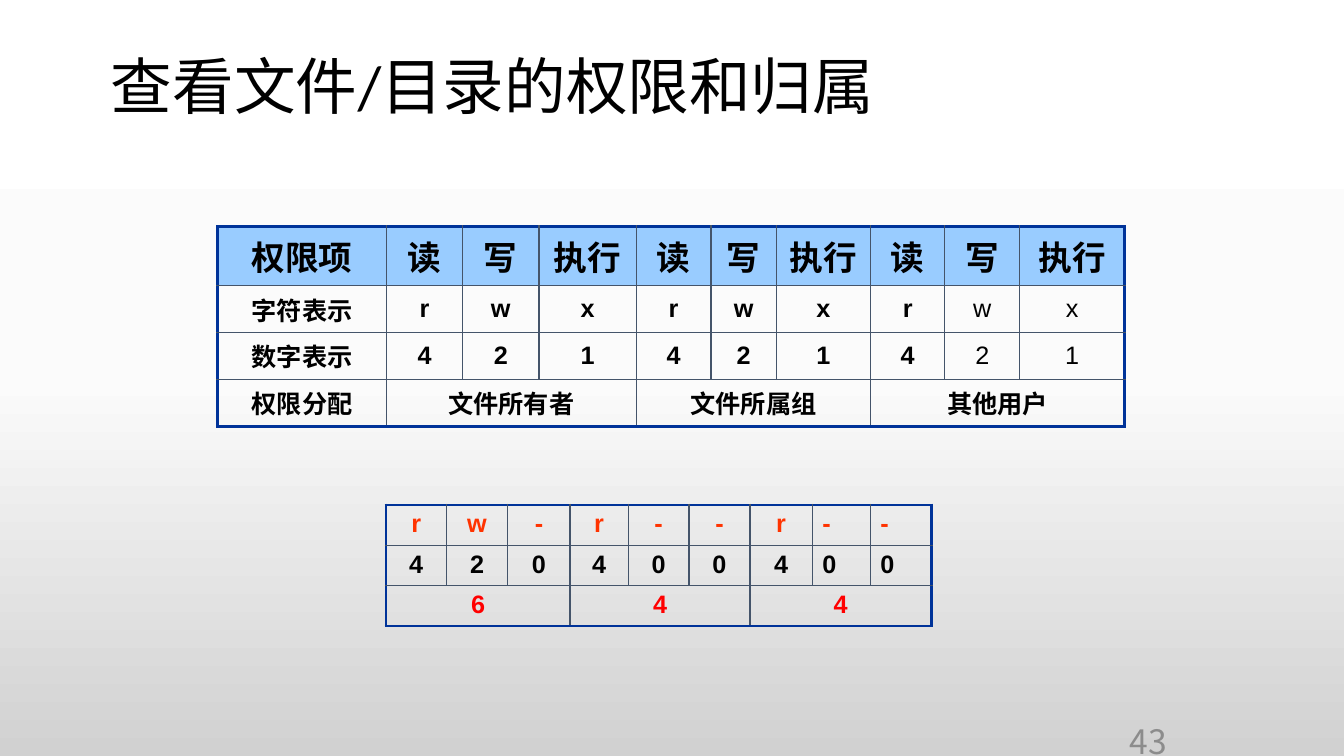
from copy import deepcopy
from dataclasses import dataclass

from lxml.etree import SubElement
from pptx import Presentation
from pptx.dml.color import RGBColor
from pptx.enum.text import MSO_ANCHOR, PP_ALIGN
from pptx.oxml.ns import qn
from pptx.slide import Slide
from pptx.table import _Cell
from pptx.text.text import TextFrame
from pptx.util import Pt


@dataclass(frozen=True)
class Theme:
    latin: str = "Arial"
    title_font: str = "Calibri"
    cjk: str = "Noto Sans CJK SC"
    black: str = "000000"
    grey: str = "8C8C8C"
    header: str = "99CCFF"
    letter: str = "FF3300"
    total: str = "FF0000"
    frame: tuple[str, float] = ("003399", 2.25)
    grid: tuple[str, float] = ("44546A", 1)
    backdrop: tuple = ((0, "FFFFFF"), (0.5, "FBFBFB"), (1, "D1D1D1"))
    title_size: float = 44
    large: float = 24
    normal: float = 18


THEME = Theme()


@dataclass(frozen=True)
class RowSpec:
    texts: tuple[str, ...]  # an empty text continues the cell to its left
    height: float
    size: float = THEME.normal
    color: str = THEME.black
    fill: str | None = None
    light_from: int = 99  # first column that is not bold
    left_from: int = 99  # first column aligned left


@dataclass(frozen=True)
class TableSpec:
    left: float
    top: float
    widths: tuple[float, ...]
    rows: tuple[RowSpec, ...]
    anchor: MSO_ANCHOR


PERMISSIONS = TableSpec(
    155.5, 162, (120.5, 54.5, 54.5, 69.5, 53.5, 46.5, 67.5, 53, 53.5, 75),
    (
        RowSpec(("权限项", *("读", "写", "执行") * 3), 42, THEME.large, fill=THEME.header),
        RowSpec(("字符表示", *"rwx" * 3), 33.5, light_from=8),
        RowSpec(("数字表示", *"421" * 3), 33.5, light_from=8),
        RowSpec(("权限分配", "文件所有者", "", "", "文件所属组", "", "", "其他用户", "", ""), 33.5),
    ),
    MSO_ANCHOR.MIDDLE,
)
EXAMPLE = TableSpec(
    275.75, 360.75, (43, 44, 44.5, 41.5, 43.5, 43.5, 44.5, 41.5, 43.5),
    (
        RowSpec(tuple("rw-r--r--"), 27.4, color=THEME.letter, left_from=7),
        RowSpec(tuple("420400400"), 27.4, left_from=7),
        RowSpec(("6", "", "", "4", "", "", "4", "", ""), 27.4, color=THEME.total),
    ),
    MSO_ANCHOR.TOP,
)


def write(tf: TextFrame, text: str, color: str, align: PP_ALIGN, font: dict) -> None:
    p = tf.paragraphs[0]
    p.alignment = align
    r = p.add_run()
    r.text = text
    for name, value in font.items():
        setattr(r.font, name, value)
    r.font.color.rgb = RGBColor.from_string(color)
    SubElement(r.font._element, qn("a:ea"), typeface=THEME.cjk)


def add_borders(cell: _Cell, outer: dict[str, bool]) -> None:
    tc_pr = cell._tc.get_or_add_tcPr()
    for side, is_outer in outer.items():
        color, width = THEME.frame if is_outer else THEME.grid
        ln = SubElement(tc_pr, qn(f"a:ln{side}"), w=str(Pt(width)))
        SubElement(SubElement(ln, qn("a:solidFill")), qn("a:srgbClr"), val=color)


def add_grid(s: Slide, spec: TableSpec) -> None:
    n_rows, n_cols = len(spec.rows), len(spec.widths)
    height = sum(row.height for row in spec.rows)
    tbl = s.shapes.add_table(n_rows, n_cols, Pt(spec.left), Pt(spec.top),
                             Pt(sum(spec.widths)), Pt(height)).table
    tbl.first_row = tbl.horz_banding = False
    for col, width in zip(tbl.columns, spec.widths):
        col.width = Pt(width)

    for i, row in enumerate(spec.rows):
        tbl.rows[i].height = Pt(row.height)
        # Merge each text with the empty columns after it
        starts = [j for j, text in enumerate(row.texts) if text]
        for start, end in zip(starts, starts[1:] + [n_cols]):
            if end - start > 1:
                tbl.cell(i, start).merge(tbl.cell(i, end - 1))

        for j, text in enumerate(row.texts):
            cell = tbl.cell(i, j)
            add_borders(cell, {"L": j == 0, "R": j + cell.span_width == n_cols,
                               "T": i == 0, "B": i == n_rows - 1})
            if row.fill:
                cell.fill.solid()
                cell.fill.fore_color.rgb = RGBColor.from_string(row.fill)
            else:
                cell.fill.background()
            cell.vertical_anchor = spec.anchor
            if text:
                align = PP_ALIGN.LEFT if j >= row.left_from else PP_ALIGN.CENTER
                write(cell.text_frame, text, row.color, align,
                      {"name": THEME.latin, "size": Pt(row.size), "bold": j < row.light_from})


def paint_background(s: Slide) -> None:
    fill = s.background.fill
    fill.gradient()
    fill.gradient_angle = 270
    stops = s.element.find(".//" + qn("a:gsLst"))
    stops.insert(1, deepcopy(stops[0]))
    for stop, (position, color) in zip(fill.gradient_stops, THEME.backdrop):
        stop.position = position
        stop.color.rgb = RGBColor.from_string(color)


def add_title(s: Slide) -> None:
    sp = s.shapes.title
    box = {"left": Pt(72), "top": Pt(30), "width": Pt(810), "height": Pt(68.5)}
    for name, value in box.items():
        setattr(sp, name, value)
    tf = sp.text_frame
    tf.vertical_anchor = MSO_ANCHOR.MIDDLE
    tf.paragraphs[0].line_spacing = 0.9
    write(tf, "查看文件/目录的权限和归属", THEME.black, PP_ALIGN.LEFT,
          {"name": THEME.title_font, "size": Pt(THEME.title_size)})


def add_page_number(s: Slide) -> None:
    tf = s.shapes.add_textbox(Pt(788.5), Pt(510.5), Pt(52), Pt(37.5)).text_frame
    tf.word_wrap = True
    tf.vertical_anchor = MSO_ANCHOR.MIDDLE
    write(tf, "43", THEME.grey, PP_ALIGN.RIGHT,
          {"name": THEME.cjk, "size": Pt(THEME.large)})


def main() -> None:
    prs = Presentation()
    prs.slide_width, prs.slide_height = Pt(960), Pt(540)
    s = prs.slides.add_slide(prs.slide_layouts[5])
    paint_background(s)
    add_title(s)
    add_page_number(s)
    for spec in (PERMISSIONS, EXAMPLE):
        add_grid(s, spec)
    prs.save("out.pptx")


if __name__ == "__main__":
    main()
